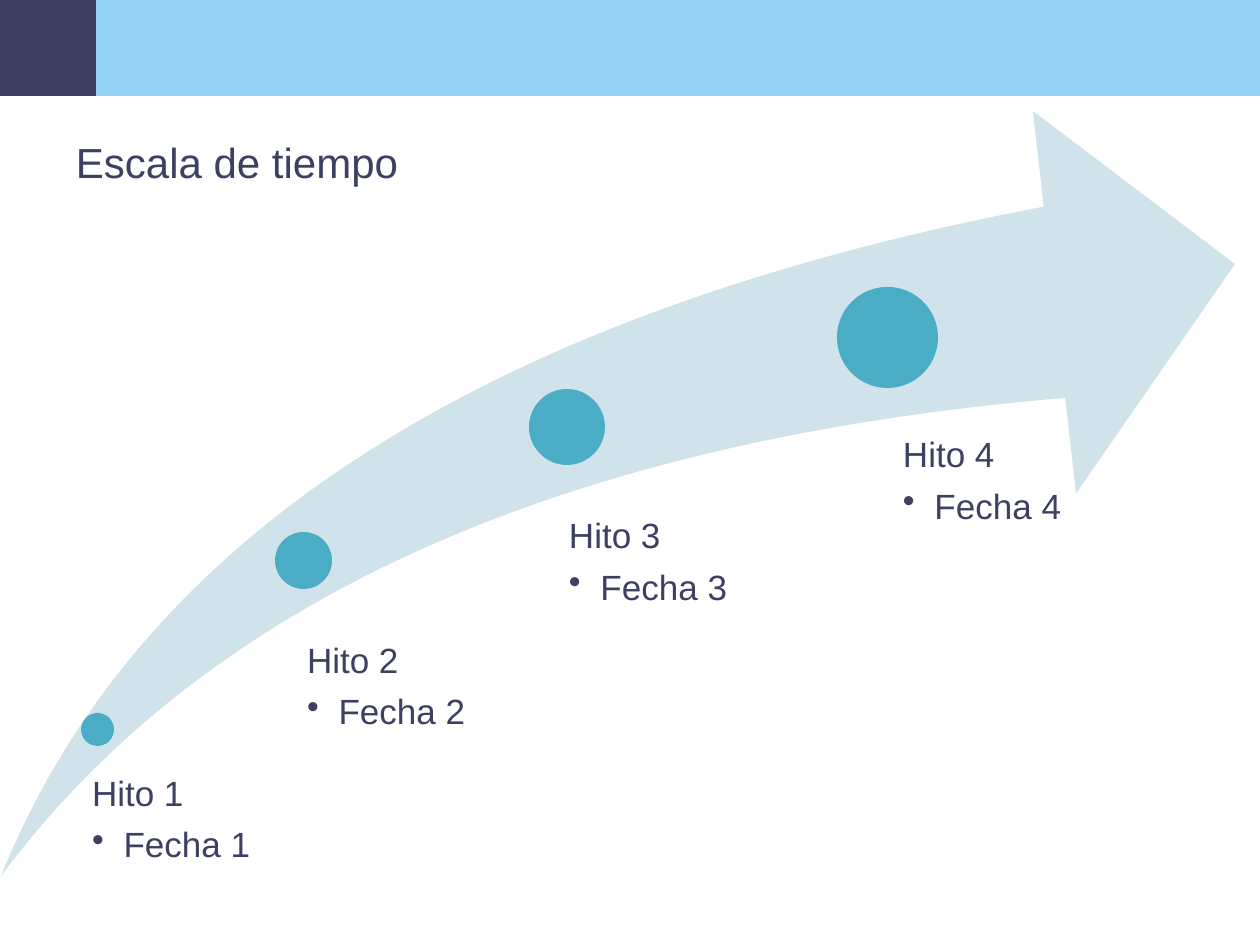
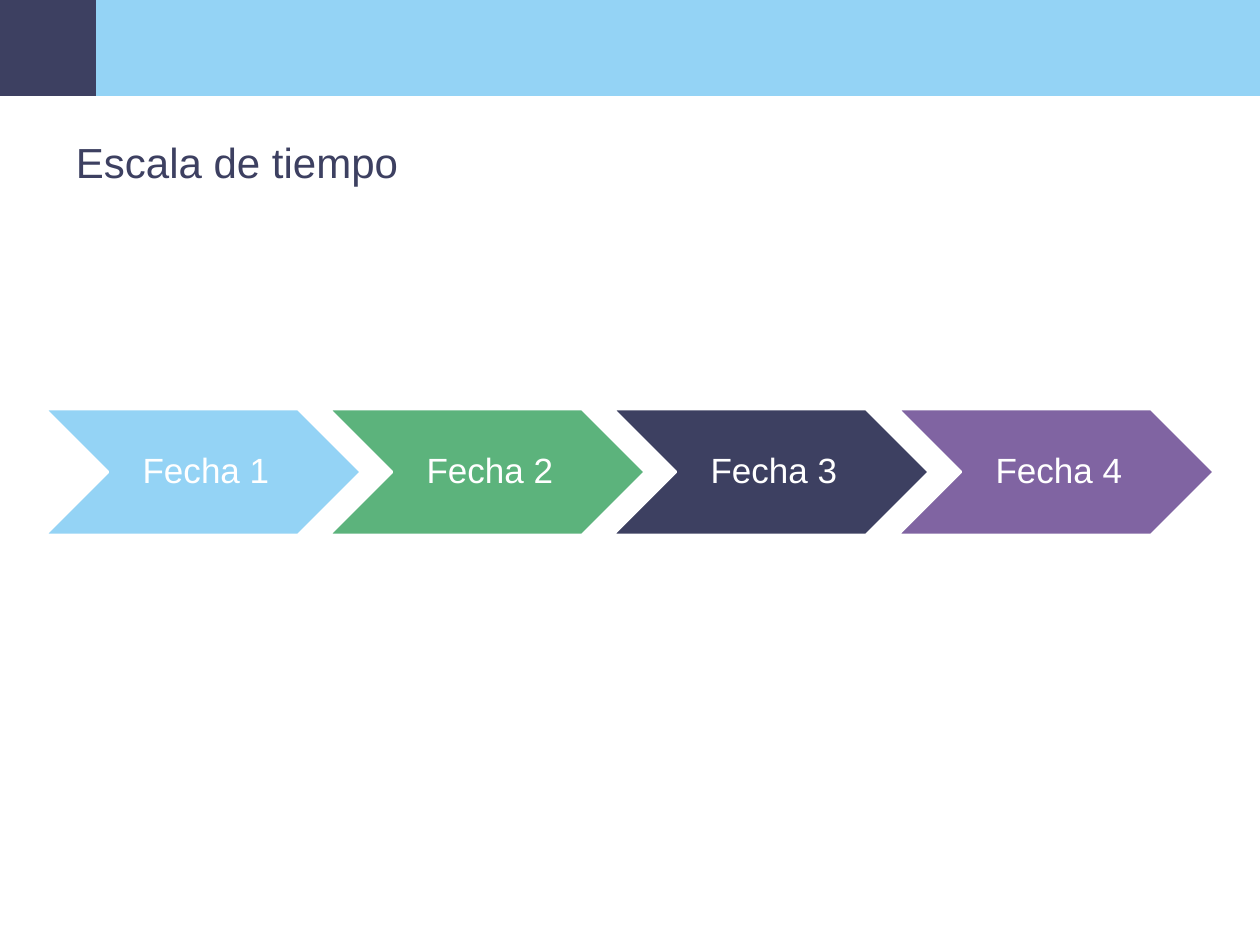
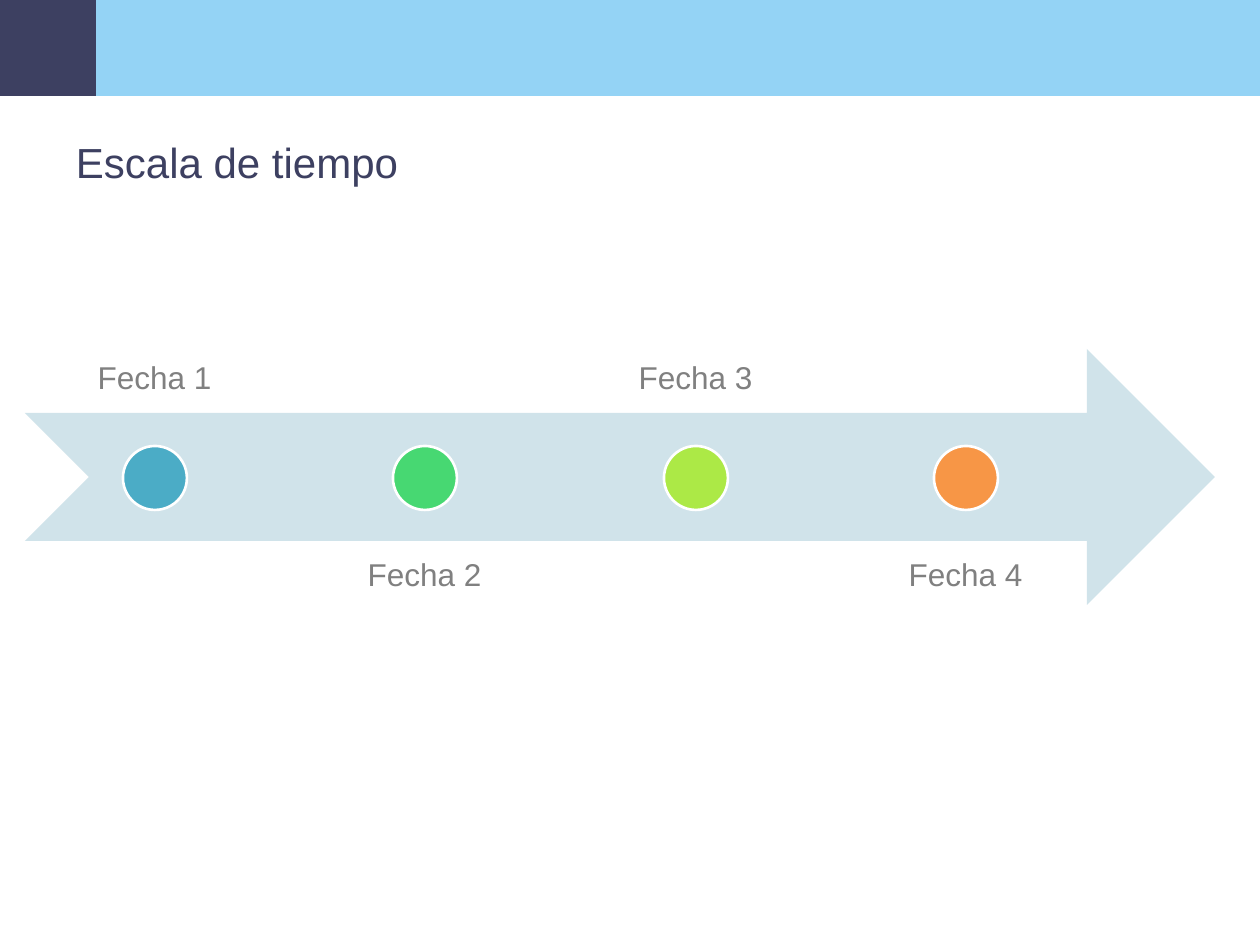
from lxml import etree
from pptx import Presentation
from pptx import util as u
from pptx.dml.color import RGBColor
from pptx.enum import shapes, text
from pptx.oxml import ns

PIXEL = u.Inches(1) // 126
SHAPE = shapes.MSO_SHAPE
ALIGN = text.PP_ALIGN
ANCHOR = text.MSO_ANCHOR
NAVY, SKY, PALE, TEAL = "3D4061", "94D3F5", "D0E3EA", "4BACC6"
WHITE, GREY = "FFFFFF", "808080"


def px(*sizes):
    """Turn pixels into EMU."""
    return [u.Emu(size * PIXEL) for size in sizes]


def rgb(code):
    """Turn a hex string into a colour."""
    return RGBColor.from_string(code)


def apply(target, values):
    """Set every value of a dict on the target."""
    for name, value in values.items():
        setattr(target, name, value)


class Deck:
    """Holds the shared style and the current slide."""

    font = "Arial"
    title = "Escala de tiempo"
    band = 96

    def __init__(self):
        """Start an empty deck."""
        self.show = Presentation()
        apply(self.show, {"slide_width": u.Inches(10), "slide_height": u.Inches(7.5)})

    def page(self):
        """Begin a slide on the blank layout."""
        self.slide = self.show.slides.add_slide(self.show.slide_layouts[6])

    def head(self):
        """Draw the title and the two bands at the top."""
        self.label((63, 126, 1134, 126), [self.title], 24, NAVY, (13, 11, 13, 6))
        self.shape(SHAPE.RECTANGLE, (0, 0, 1260, self.band), SKY)
        self.shape(SHAPE.RECTANGLE, (0, 0, self.band, self.band), NAVY)

    def shape(self, kind, box, fill, line=None, adjust=()):
        """Draw a filled preset shape, with an outline if a line colour is given."""
        item = self.slide.shapes.add_shape(kind, *px(*box))
        item.shadow.inherit = False
        item.fill.solid()
        item.fill.fore_color.rgb = rgb(fill)
        if line:
            item.line.color.rgb = rgb(line)
            item.line.width = u.Pt(1.5)
        else:
            item.line.fill.background()
        for spot, value in enumerate(adjust):
            item.adjustments[spot] = value

    def label(self, box, lines, size, color, pads,
              align=ALIGN.LEFT, anchor=ANCHOR.TOP, form=None):
        """Write text; every line after the first is a bullet."""
        frame = self.slide.shapes.add_textbox(*px(*box)).text_frame
        sides = ("margin_left", "margin_top", "margin_right", "margin_bottom")
        apply(frame, dict(zip(sides, px(*pads))))
        apply(frame, {"word_wrap": True, "vertical_anchor": anchor})
        for spot, line in enumerate(lines):
            para = frame.add_paragraph() if spot else frame.paragraphs[0]
            apply(para, {"alignment": align, **(form or {})})
            if spot:
                self.bullet(para)
            run = para.add_run()
            run.text = line
            apply(run.font, {"name": self.font, "size": u.Pt(size)})
            run.font.color.rgb = rgb(color)

    def bullet(self, para):
        """Give a paragraph a round bullet and a hanging indent."""
        apply(para, {"level": 1, "space_after": u.Pt(3.5)})
        props = para._p.get_or_add_pPr()
        props.set("marL", str(u.Inches(0.25)))
        props.set("indent", str(-u.Inches(0.25)))
        etree.SubElement(props, ns.qn("a:buChar")).set("char", "•")


def swoosh(deck):
    """Four milestones that grow along a curved arrow."""
    deck.page()
    deck.shape(SHAPE.SWOOSH_ARROW, (1, 111, 1234, 765), PALE, adjust=(0.25, 0.25))
    dots = [(81, 713, 33), (275, 532, 57), (529, 389, 76), (837, 287, 101)]
    notes = [(74, 776, 294, 212, 18), (277, 643, 299, 331, 30),
             (529, 518, 299, 334, 40), (850, 437, 299, 411, 53)]
    form = {"line_spacing": 0.9, "space_after": u.Pt(8)}
    for num, ((x, y, size), (*box, pad)) in enumerate(zip(dots, notes), 1):
        deck.shape(SHAPE.OVAL, (x, y, size, size), TEAL)
        deck.label(box, [f"Hito {num}", f"Fecha {num}"], 20, NAVY,
                   (pad, 0, 0, 0), form=form)
    deck.head()


def steps(deck):
    """Four chevrons in a row."""
    deck.page()
    for spot, fill in enumerate([SKY, "5CB37C", NAVY, "8064A2"]):
        x = 45 + 853 * spot // 3
        deck.shape(SHAPE.CHEVRON, (x, 409, 316, 126), fill, WHITE)
        deck.label((x + 63, 409, 189, 126), [f"Fecha {spot + 1}"], 20, WHITE,
                   (11, 4, 4, 4), ALIGN.CENTER, ANCHOR.MIDDLE,
                   {"line_spacing": 0.9})
    deck.head()


def arrow(deck):
    """Four dots on an arrow, with dates above and below in turn."""
    deck.page()
    deck.shape(SHAPE.NOTCHED_RIGHT_ARROW, (25, 349, 1190, 256), PALE)
    sides = [(157, ANCHOR.BOTTOM), (542, ANCHOR.TOP)]
    for spot, fill in enumerate([TEAL, "47D872", "ACE946", "F79646"]):
        x = 26 + 541 * spot // 2
        y, anchor = sides[spot % 2]
        deck.label((x, y, 257, 256), [f"Fecha {spot + 1}"], 18, GREY,
                   (18, 18, 18, 18), ALIGN.CENTER, anchor, {"line_spacing": 0.9})
        deck.shape(SHAPE.OVAL, (x + 97, 446, 64, 64), fill, WHITE)
    deck.head()


deck = Deck()
for build in (swoosh, steps, arrow):
    build(deck)
deck.show.save("out.pptx")
